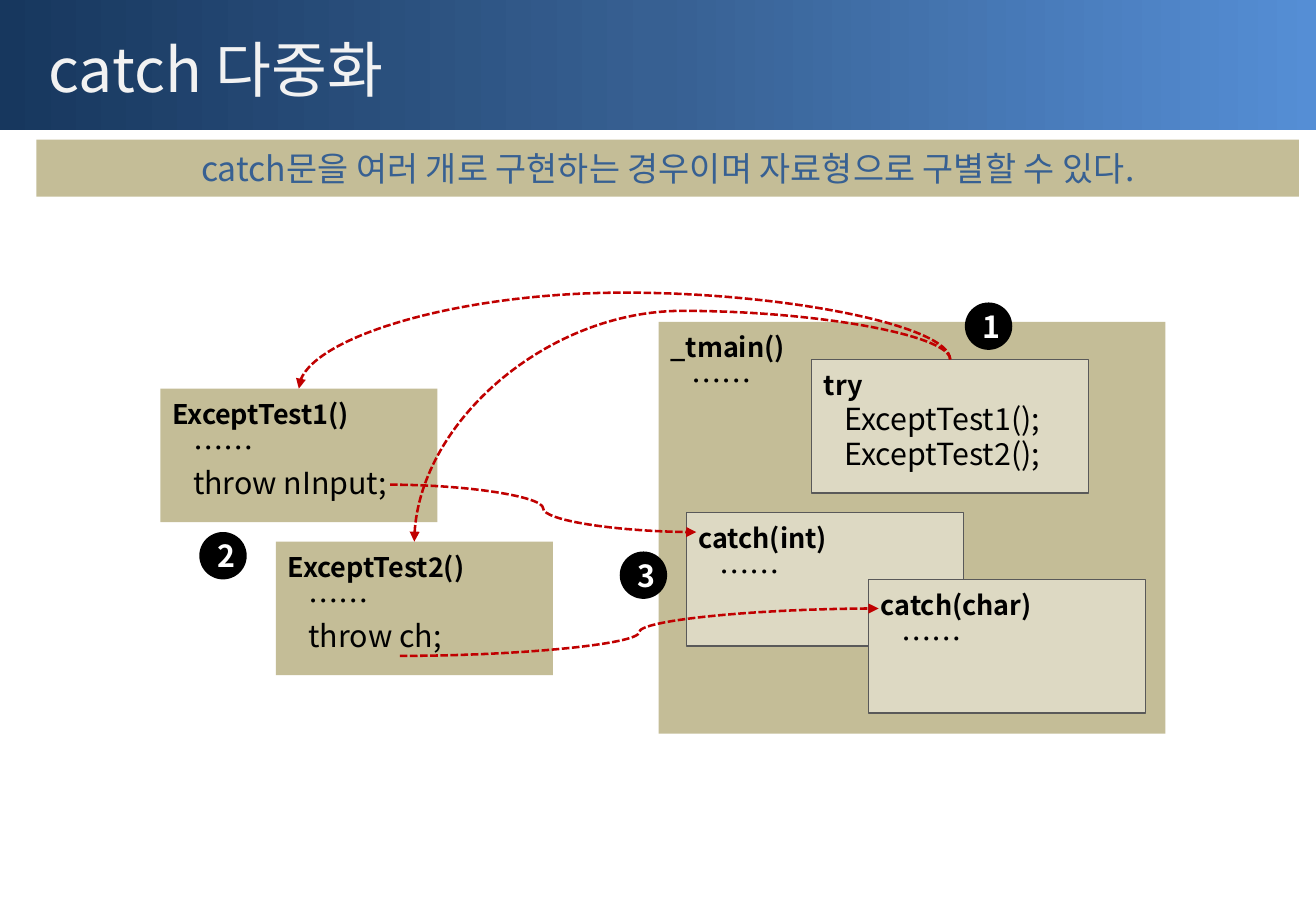
from copy import deepcopy
from lxml.etree import SubElement
from pptx import Presentation
from pptx.dml.color import RGBColor
from pptx.enum.dml import MSO_LINE
from pptx.enum.shapes import MSO_CONNECTOR, MSO_SHAPE
from pptx.enum.text import MSO_ANCHOR, PP_ALIGN
from pptx.oxml.ns import qn
from pptx.util import Inches, Pt

RECT, OVAL = MSO_SHAPE.RECTANGLE, MSO_SHAPE.OVAL
CURVE, DASH = MSO_CONNECTOR.CURVE, MSO_LINE.SQUARE_DOT
TOP, MID = MSO_ANCHOR.TOP, MSO_ANCHOR.MIDDLE
LEFT, CENTER = PP_ALIGN.LEFT, PP_ALIGN.CENTER
FONT = "Noto Sans CJK KR"
HUES = {
    "navy": "17375E", "blue": "376092", "sky": "558ED5", "pale": "F2F2F2",
    "sand": "C4BD97", "cream": "DDD9C3", "gray": "595959", "red": "C00000",
    "black": "000000", "white": "FFFFFF",
}
BOX = (2.28, 1.1)
DOTS = "……"


def hue(name):
    return RGBColor.from_string(HUES[name])


class Deck:
    def __init__(self, wide, high):
        self.file = Presentation()
        self.file.slide_width, self.file.slide_height = Inches(wide), Inches(high)
        self.slide = self.file.slides.add_slide(self.file.slide_layouts[5])
        self.shapes = self.slide.shapes

    def shape(self, kind, area, fill=None, line=None):
        item = self.shapes.add_shape(kind, *map(Inches, area))
        item.shadow.inherit = False
        if fill:
            item.fill.solid()
            item.fill.fore_color.rgb = hue(fill)
        if line:
            item.line.color.rgb = hue(line)
            item.line.width = Pt(0.75)
        else:
            item.line.fill.background()
        return item

    def text(self, para, words, size, color, bold=False, align=LEFT):
        para.alignment = align
        run = para.add_run()
        run.text = words
        font = run.font
        font.name, font.size, font.bold = FONT, Pt(size), bold
        font.color.rgb = hue(color)
        SubElement(run._r.get_or_add_rPr(), qn("a:ea"), typeface=FONT)

    def title(self, words, area):
        item = self.shapes.title
        item.left, item.top, item.width, item.height = map(Inches, area)
        item.text_frame.vertical_anchor = MID
        self.text(item.text_frame.paragraphs[0], words, 36, "pale")

    def band(self, area, hues):
        item = self.shape(RECT, area)
        item.fill.gradient()
        item.fill.gradient_angle = 0
        stops = item._element.spPr.find(".//" + qn("a:gsLst"))
        stops.append(deepcopy(stops[-1]))
        for i, (stop, name) in enumerate(zip(item.fill.gradient_stops, hues)):
            stop.position = i / (len(hues) - 1)
            stop.color.rgb = hue(name)
        self.shapes._spTree.insert(2, item._element)

    def banner(self, words, area):
        frame = self.shape(RECT, area, "sand").text_frame
        frame.word_wrap, frame.vertical_anchor = True, MID
        self.text(frame.paragraphs[0], words, 20, "blue", align=CENTER)

    def block(self, area, head, rows, fill="sand", line=None):
        frame = self.shape(RECT, area, fill, line).text_frame
        frame.word_wrap, frame.vertical_anchor = True, TOP
        para = frame.paragraphs[0]
        para.line_spacing = Pt(21)
        self.text(para, head, 16, "black", True)
        for row in rows:
            para = frame.add_paragraph()
            para.line_spacing = Pt(21)
            self.text(para, row, 18, "black")
            para._p.get_or_add_pPr().set("marL", str(Inches(0.17)))

    def badge(self, words, left, top):
        frame = self.shape(OVAL, (left, top, 0.39, 0.39), "black").text_frame
        frame.margin_left = Inches(0.05)
        frame.margin_right = frame.margin_top = frame.margin_bottom = 0
        frame.word_wrap, frame.vertical_anchor = False, MID
        self.text(frame.paragraphs[0], words, 18, "white", True, CENTER)

    def arrow(self, x1, y1, x2, y2, peak=None):
        ends = (x1, y1, x2, y2)
        if peak is not None:
            midx, midy = (x1 + x2) / 2, (y1 + y2) / 2
            dx, dy = (y2 - y1) / 2, (x1 - x2) / 2
            ends = (midx + dx, midy + dy, midx - dx, midy - dy)
        link = self.shapes.add_connector(CURVE, *map(Inches, ends))
        prop = link._element.spPr
        if peak is not None:
            prop.find(qn("a:xfrm")).set("rot", str(270 * 60000))
            bend = round((peak - y1) / (y2 - y1) * 100000)
            guides = prop.find(qn("a:prstGeom")).get_or_add_avLst()
            SubElement(guides, qn("a:gd"), name="adj1", fmla=f"val {bend}")
        link.line.color.rgb = hue("red")
        link.line.width, link.line.dash_style = Pt(1.5), DASH
        SubElement(link.line._get_or_add_ln(), qn("a:tailEnd"), type="triangle")
        SubElement(prop, qn("a:effectLst"))


deck = Deck(10.83, 7.5)
deck.band((0, 0, 10.83, 1.07), ("navy", "blue", "sky"))
deck.title("catch 다중화", (0.3, 0.13, 10.39, 0.87))
deck.banner("catch문을 여러 개로 구현하는 경우이며 자료형으로 구별할 수 있다.",
            (0.3, 1.15, 10.39, 0.47))

deck.block((2.27, 4.46, *BOX), "ExceptTest2()", (DOTS, "throw ch;"))
deck.block((1.32, 3.2, *BOX), "ExceptTest1()", (DOTS, "throw nInput;"))
deck.block((5.42, 2.65, 4.17, 3.39), "_tmain()", (DOTS,))
for left, top, head, rows in (
    (6.68, 2.96, "try", ("ExceptTest1();", "ExceptTest2();")),
    (5.65, 4.22, "catch(int)", (DOTS,)),
    (7.15, 4.77, "catch(char)", (DOTS,)),
):
    deck.block((left, top, *BOX), head, rows, "cream", "gray")

deck.arrow(7.82, 2.96, 2.46, 3.2, 2.41)
deck.arrow(7.82, 2.96, 3.41, 4.46, 2.56)
deck.arrow(3.21, 3.99, 5.73, 4.38)
deck.arrow(3.29, 5.4, 7.23, 5.01)
for words, left, top in (("1", 7.94, 2.49), ("2", 1.64, 4.38), ("3", 5.1, 4.54)):
    deck.badge(words, left, top)

deck.file.save("out.pptx")
